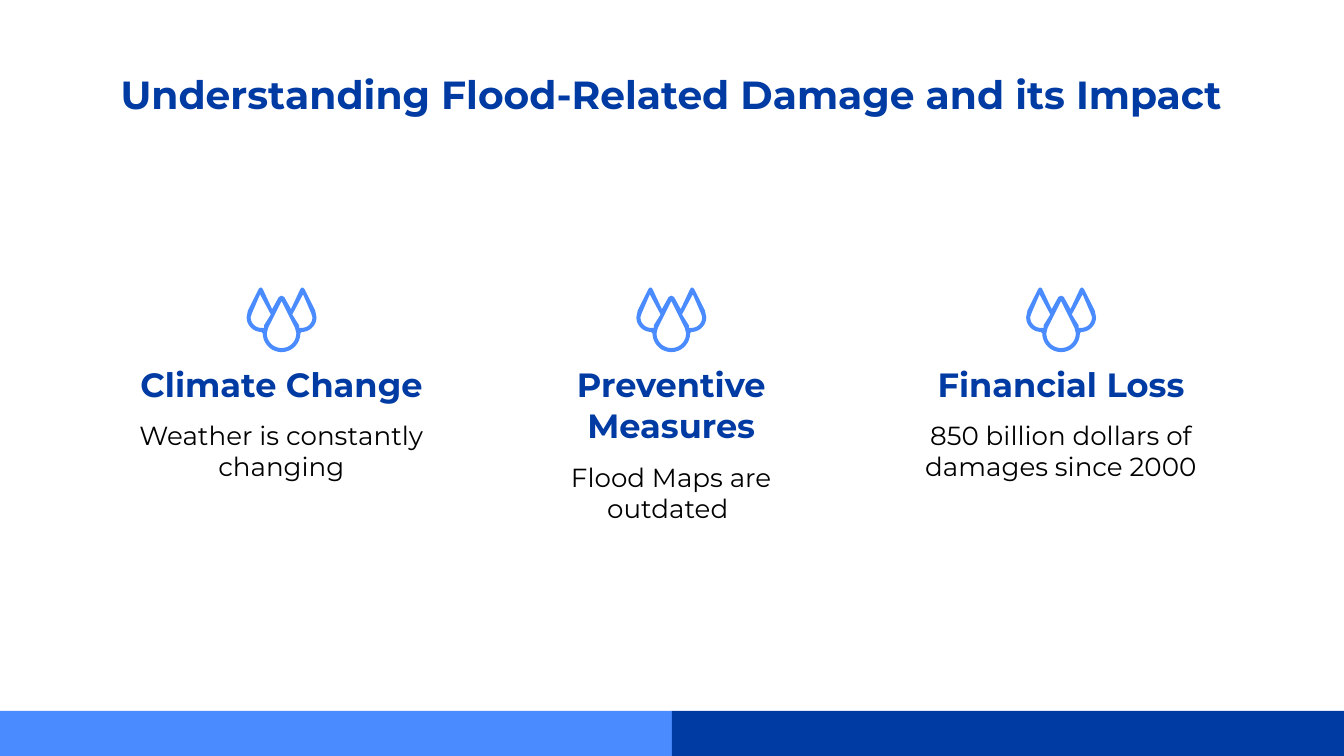
from math import cos, radians, sin

from pptx import Presentation
from pptx.dml.color import RGBColor
from pptx.enum import shapes, text
from pptx.util import Inches, Pt

NAVY = RGBColor(0x00, 0x3B, 0xA3)
SKY = RGBColor(0x4A, 0x8C, 0xFF)
BLACK = RGBColor(0x00, 0x00, 0x00)
FONT = "Montserrat"

SLIDE_W = 10
SLIDE_H = SLIDE_W * 9 / 16
ICON_W = 0.52
TOPICS = [
    # heading, detail, top of the detail below the heading's top
    ("Climate Change", "Weather is constantly changing", 0.41),
    ("Preventive Measures", "Flood Maps are outdated ", 0.72),
    ("Financial Loss", "850 billion dollars of damages since 2000", 0.41),
]


def add_text(slide, words, left, top, width, height, *, size, color=BLACK,
             bold=False, space_after=0):
    box = slide.shapes.add_textbox(
        Inches(left), Inches(top), Inches(width), Inches(height))
    frame = box.text_frame
    frame.word_wrap = True
    frame.vertical_anchor = text.MSO_ANCHOR.TOP
    frame.margin_left = frame.margin_right = Inches(0.1)
    frame.margin_top = frame.margin_bottom = Inches(0.1)
    paragraph = frame.paragraphs[0]
    paragraph.alignment = text.PP_ALIGN.CENTER
    paragraph.space_after = Pt(space_after)
    run = paragraph.add_run()
    run.text = words
    run.font.name = FONT
    run.font.size = Pt(size)
    run.font.bold = bold
    run.font.color.rgb = color


def paint(shape, color):
    shape.shadow.inherit = False
    shape.fill.solid()
    shape.fill.fore_color.rgb = color
    shape.line.fill.background()


def quarter_arc(x, y, radius):
    """Points from the left of a circle down to its bottom."""
    angles = [radians(a) for a in range(180, 89, -10)]
    return [(x + radius * cos(a), y + radius * sin(a)) for a in angles]


def mirror(points):
    return [(ICON_W - x, y) for x, y in reversed(points)]


def add_drops(slide, left, top):
    """Three outlined water drops: a silhouette with three holes."""
    half_silhouette = [
        (0.26, 0.06), (0.24, 0.07), (0.19, 0.16), (0.12, 0.01), (0.11, 0),
        (0.1, 0), (0.09, 0.01), (0.01, 0.17),
        *quarter_arc(0.11, 0.22, 0.11), *quarter_arc(0.26, 0.34, 0.14)]
    half_front = [(0.26, 0.1), (0.16, 0.3), *quarter_arc(0.26, 0.34, 0.11)]
    side = [(0.1, 0.05), (0.18, 0.2), (0.13, 0.28), (0.13, 0.3),
            *reversed(quarter_arc(0.11, 0.22, 0.08)), (0.04, 0.19)]
    contours = [half_silhouette + mirror(half_silhouette),
                half_front + mirror(half_front), side, mirror(side)]

    builder = None
    for contour in contours:
        points = [(Inches(x), Inches(y)) for x, y in contour]
        if builder is None:
            builder = slide.shapes.build_freeform(*points[0])
        else:
            builder.move_to(*points[0])
        builder.add_line_segments(points[1:], close=True)
    paint(builder.convert_to_shape(Inches(left), Inches(top)), SKY)


def add_footer(slide, left, top, width, height):
    half = width / 2
    for i, color in enumerate((SKY, NAVY)):
        band = slide.shapes.add_shape(
            shapes.MSO_SHAPE.RECTANGLE, Inches(left + i * half), Inches(top),
            Inches(half), Inches(height))
        paint(band, color)


def add_topic(slide, left, top, width, heading, detail, detail_offset):
    add_drops(slide, left + (width - ICON_W) / 2, top)
    heading_top = top + 0.47
    add_text(slide, heading, left, heading_top, width, 0.45,
             size=18, color=NAVY, bold=True, space_after=16)
    add_text(slide, detail, left, heading_top + detail_offset, width, 0.79,
             size=14, space_after=16)


def main():
    deck = Presentation()
    deck.slide_width, deck.slide_height = Inches(SLIDE_W), Inches(SLIDE_H)
    slide = deck.slides.add_slide(deck.slide_layouts[6])

    # Footer bands
    add_footer(slide, 0, 5.29, SLIDE_W, SLIDE_H - 5.29)

    # Title
    add_text(slide, "Understanding Flood-Related Damage and its Impact",
             0.78, 0.42, 8.43, 0.63, size=21, color=NAVY, bold=True)

    # Three topic columns
    for i, topic in enumerate(TOPICS):
        add_topic(slide, 0.86 + i * 2.9, 2.14, 2.47, *topic)

    deck.save("out.pptx")


if __name__ == "__main__":
    main()
